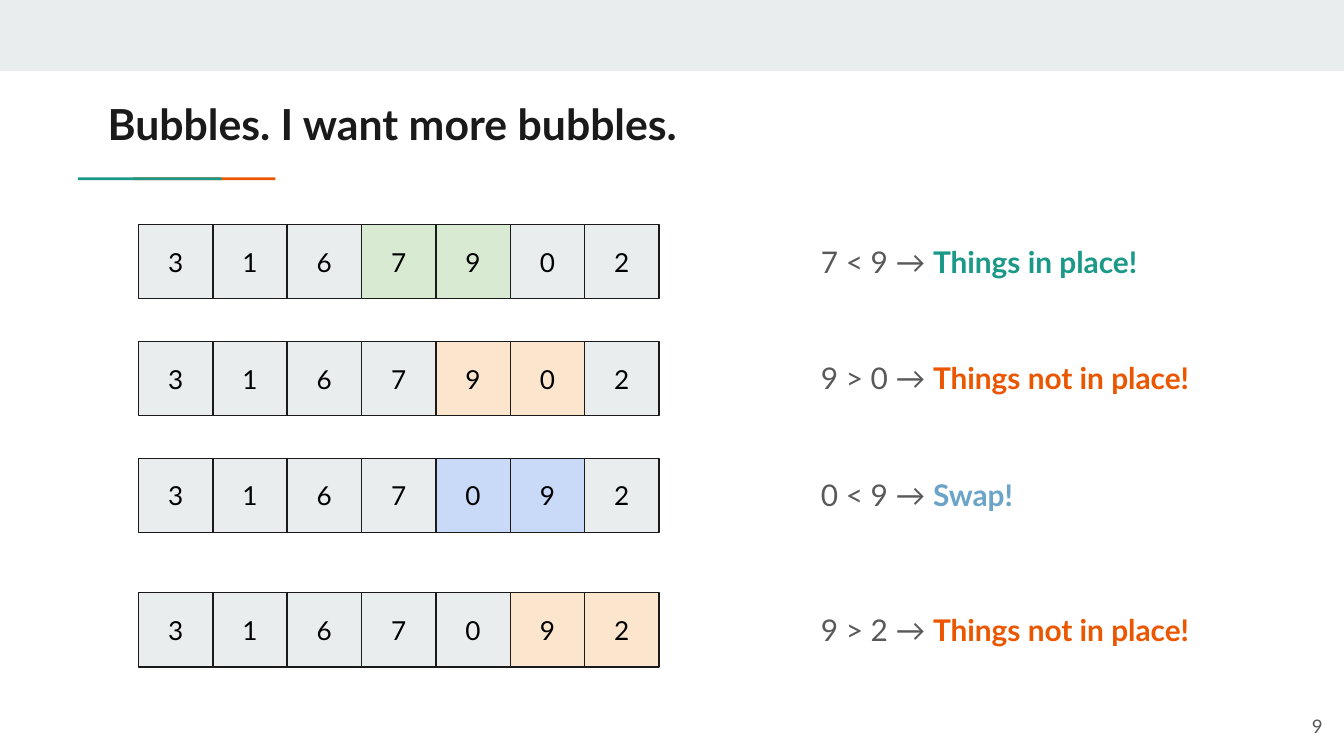
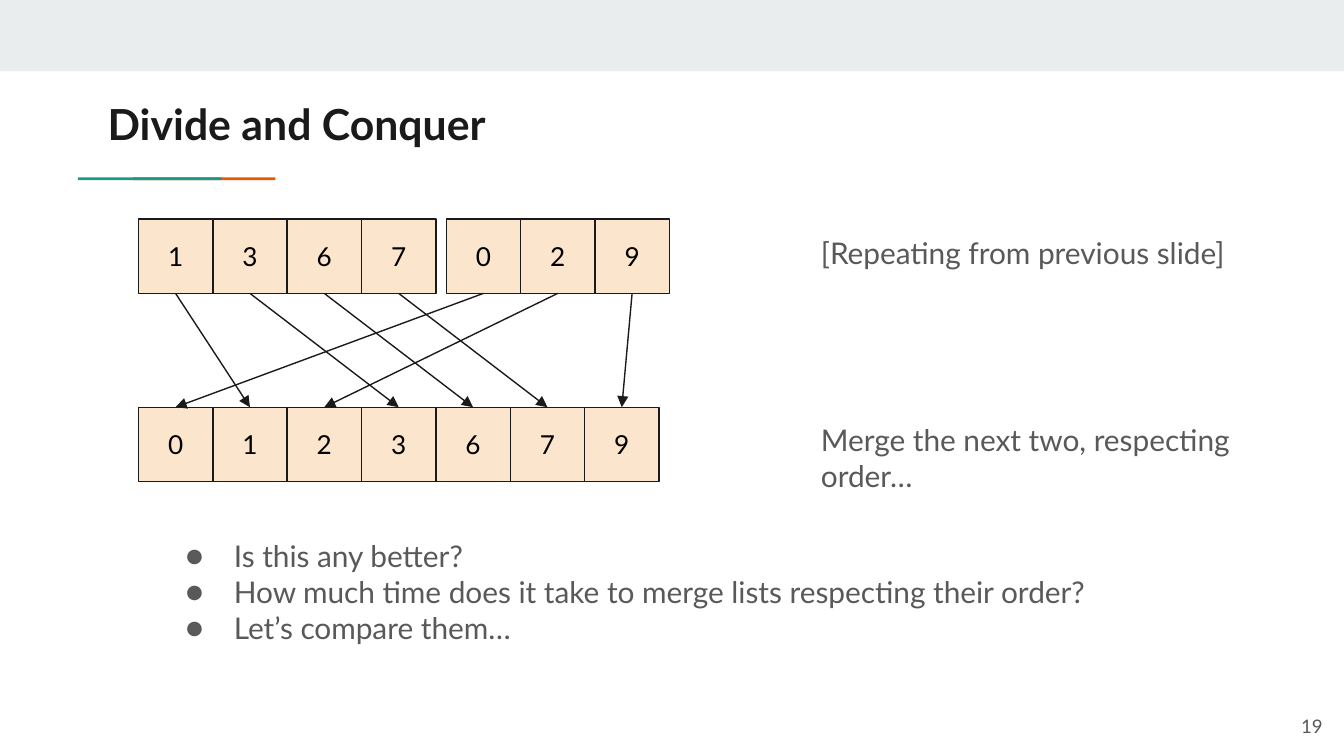
import pptx
import pptx.dml.color
import pptx.enum.shapes
import pptx.enum.text
import pptx.oxml
import pptx.oxml.ns
import pptx.util
import lxml.etree

Inches = pptx.util.Inches
Pt = pptx.util.Pt
ALIGN = pptx.enum.text.PP_ALIGN
ANCHOR = pptx.enum.text.MSO_ANCHOR

COLORS = {
    "band": "E9EDEE",
    "ink": "1A1A1A",
    "digit": "000000",
    "body": "595959",
    "teal": "1A9988",
    "orange": "EB5600",
    "blue": "6AA4C8",
    "in_place": "D9EAD3",
    "misplaced": "FCE5CD",
    "swapped": "C9DAF8",
}
FONT = "Lato"
ROW_LEFT = 1.03
CELL_SIZE = 3.32 / 6
NOTE_LEFT = 6.01

# top, numbers, index of the first compared cell, pair fill, comparison, verdict, verdict color
BUBBLE_STEPS = [
    (1.67, "3167902", 3, "in_place", "7 < 9 → ", "Things in place!", "teal"),
    (2.54, "3167902", 4, "misplaced", "9 > 0 → ", "Things not in place!", "orange"),
    (3.41, "3167092", 4, "swapped", "0 < 9 → ", "Swap!", "blue"),
    (4.41, "3167092", 5, "misplaced", "9 > 2 → ", "Things not in place!", "orange"),
]
QUESTIONS = [
    "Is this any better?",
    "How much time does it take to merge lists respecting their order?",
    "Let’s compare them…",
]


def rgb(name):
    return pptx.dml.color.RGBColor.from_string(COLORS[name])


def style_font(font, size, color, bold=False):
    font.name = FONT
    font.size = Pt(size)
    font.bold = bold
    font.color.rgb = rgb(color)


def set_frame(frame, side_inset=0.1, anchor=ANCHOR.TOP):
    frame.word_wrap = True
    frame.auto_size = pptx.enum.text.MSO_AUTO_SIZE.NONE
    frame.vertical_anchor = anchor
    frame.margin_left = frame.margin_right = Inches(side_inset)
    frame.margin_top = frame.margin_bottom = Inches(0.1)


def place(shape, left, top, width, height):
    shape.left, shape.top = Inches(left), Inches(top)
    shape.width, shape.height = Inches(width), Inches(height)


def add_rectangle(slide, left, top, width, height, fill):
    shape = slide.shapes.add_shape(
        pptx.enum.shapes.MSO_SHAPE.RECTANGLE,
        Inches(left), Inches(top), Inches(width), Inches(height))
    shape.shadow.inherit = False
    shape.fill.solid()
    shape.fill.fore_color.rgb = rgb(fill)
    shape.line.fill.background()
    return shape


def add_text(slide, left, top, width, height, anchor=ANCHOR.TOP):
    """Add an empty text box and return its first paragraph."""
    box = slide.shapes.add_textbox(
        Inches(left), Inches(top), Inches(width), Inches(height))
    set_frame(box.text_frame, anchor=anchor)
    return box.text_frame.paragraphs[0]


def add_slide(presentation, layout_name, title, number):
    """Add a slide with the shared band, title, underline and page number."""
    layout = presentation.slide_layouts.get_by_name(layout_name)
    slide = presentation.slides.add_slide(layout)
    add_rectangle(slide, 0, 0, 10, 0.53, "band")
    add_rectangle(slide, 0.99, 1.32, 1.06, 0.02, "orange")
    add_rectangle(slide, 0.58, 1.32, 1.07, 0.02, "teal")

    heading = slide.shapes.title
    place(heading, 0.8, 0.63, 8.41, 0.59)
    heading.text_frame.text = title
    set_frame(heading.text_frame, side_inset=0)
    paragraph = heading.text_frame.paragraphs[0]
    paragraph.alignment = ALIGN.LEFT
    style_font(paragraph.font, 22.9, "ink", bold=True)

    paragraph = add_text(slide, 9.34, 5.19, 0.6, 0.43, ANCHOR.MIDDLE)
    paragraph.text = str(number)
    paragraph.alignment = ALIGN.RIGHT
    style_font(paragraph.font, 10, "body")
    return slide


def add_number_row(slide, left, top, numbers, fills):
    """Draw adjoining cells and return them keyed by their digit."""
    cells = {}
    for index, (digit, fill) in enumerate(zip(numbers, fills)):
        cell = add_rectangle(
            slide, left + index * CELL_SIZE, top, CELL_SIZE, CELL_SIZE, fill)
        cell.line.color.rgb = rgb("ink")
        cell.line.width = Pt(0.75)
        set_frame(cell.text_frame, anchor=ANCHOR.MIDDLE)
        paragraph = cell.text_frame.paragraphs[0]
        paragraph.text = digit
        paragraph.alignment = ALIGN.CENTER
        style_font(paragraph.font, 14, "digit")
        cells[digit] = cell
    return cells


def add_verdict(slide, top, comparison, verdict, color):
    paragraph = add_text(slide, NOTE_LEFT, top, 3.33, 0.47)
    for text, run_color, bold in ((comparison, "body", False), (verdict, color, True)):
        run = paragraph.add_run()
        run.text = text
        style_font(run.font, 16, run_color, bold)


def add_note(slide, top, text):
    paragraph = add_text(slide, NOTE_LEFT, top, 3.33, 0.47)
    paragraph.text = text
    style_font(paragraph.font, 16, "body")


def add_arrow(slide, source, target):
    """Point from the bottom of one cell to the top of another."""
    arrow = slide.shapes.add_connector(
        pptx.enum.shapes.MSO_CONNECTOR.STRAIGHT, 0, 0, 0, 0)
    arrow.begin_connect(source, 2)
    arrow.end_connect(target, 0)
    arrow.line.color.rgb = rgb("ink")
    arrow.line.width = Pt(0.75)
    qn = pptx.oxml.ns.qn
    lxml.etree.SubElement(arrow.line._get_or_add_ln(), qn("a:tailEnd"), type="triangle")
    lxml.etree.SubElement(arrow._element.spPr, qn("a:effectLst"))


def set_bullet(paragraph):
    qn = pptx.oxml.ns.qn
    properties = paragraph._p.get_or_add_pPr()
    properties.set("marL", str(Inches(0.5)))
    properties.set("indent", str(Inches(-0.36)))
    bullet_color = lxml.etree.SubElement(properties, qn("a:buClr"))
    lxml.etree.SubElement(bullet_color, qn("a:srgbClr"), val=COLORS["body"])
    lxml.etree.SubElement(properties, qn("a:buFont"), typeface=FONT)
    lxml.etree.SubElement(properties, qn("a:buChar"), char="●")


def fill_list(placeholder, items):
    place(placeholder, 1.14, 3.9, 8.06, 1.3)
    frame = placeholder.text_frame
    frame.text = "\n".join(items)
    set_frame(frame)
    for paragraph in frame.paragraphs:
        set_bullet(paragraph)
        paragraph.space_before = Pt(0)
        style_font(paragraph.font, 16, "body")


def build_bubble_slide(presentation):
    slide = add_slide(presentation, "Title Only", "Bubbles. I want more bubbles.", 9)
    for top, numbers, first, pair_fill, comparison, verdict, color in BUBBLE_STEPS:
        fills = ["band"] * len(numbers)
        fills[first:first + 2] = [pair_fill] * 2
        add_number_row(slide, ROW_LEFT, top, numbers, fills)
        add_verdict(slide, top + 0.04, comparison, verdict, color)


def build_merge_slide(presentation):
    slide = add_slide(presentation, "Title and Content", "Divide and Conquer", 19)
    fills = ["misplaced"] * 7
    sources = add_number_row(slide, ROW_LEFT, 1.63, "1367", fills)
    sources.update(add_number_row(slide, 3.32, 1.63, "029", fills))
    add_note(slide, 1.65, "[Repeating from previous slide]")
    merged = add_number_row(slide, ROW_LEFT, 3.03, "0123679", fills)
    add_note(slide, 3.04, "Merge the next two, respecting order…")
    for digit, source in sources.items():
        add_arrow(slide, source, merged[digit])
    fill_list(slide.placeholders[1], QUESTIONS)


def main():
    presentation = pptx.Presentation()
    presentation.slide_width = Inches(10)
    presentation.slide_height = Inches(10 * 9 / 16)
    build_bubble_slide(presentation)
    build_merge_slide(presentation)
    presentation.save("out.pptx")


if __name__ == "__main__":
    main()
